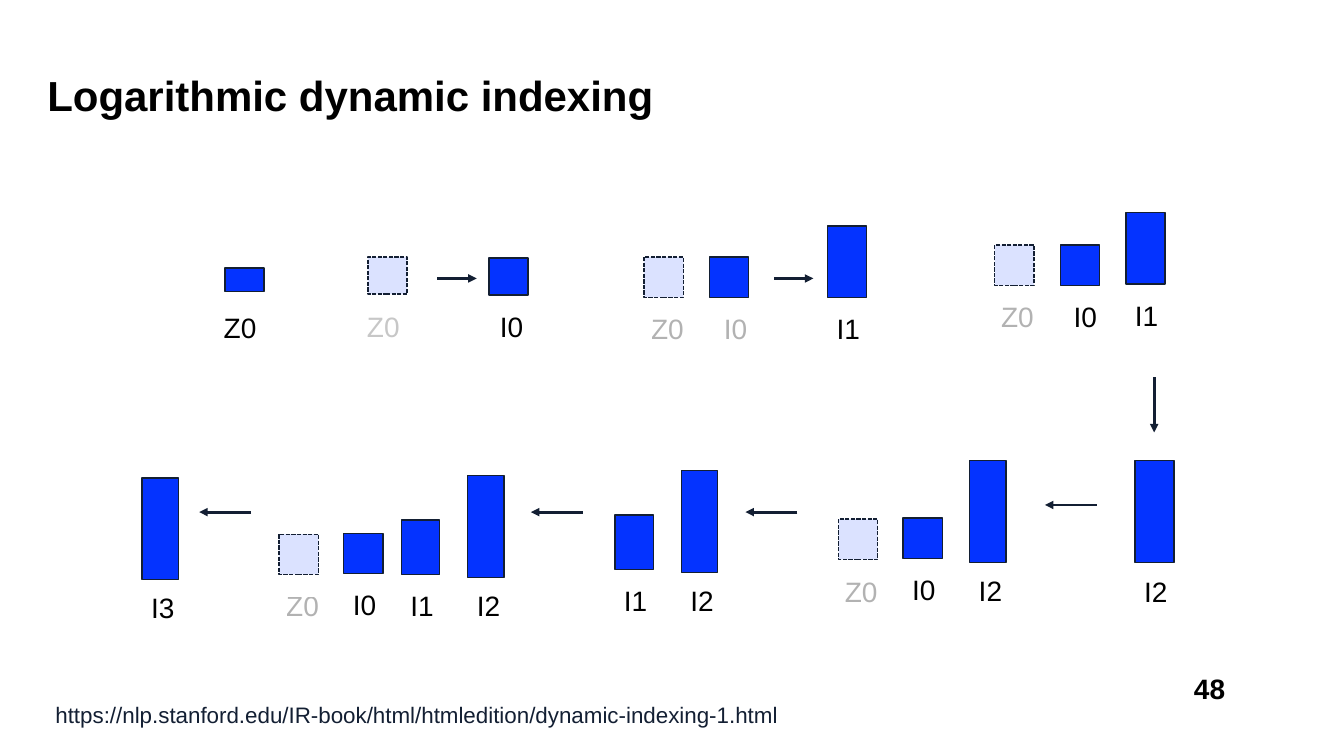
from lxml.etree import SubElement
from pptx import Presentation
from pptx.dml.color import RGBColor
from pptx.enum.dml import MSO_LINE
from pptx.enum.shapes import MSO_CONNECTOR, MSO_SHAPE
from pptx.enum.text import MSO_ANCHOR, PP_ALIGN
from pptx.oxml.ns import qn
from pptx.util import Pt

HUE = {"text": "000000", "bar": "0433FF", "line": "131F33"}
FLAT, LOW, BOX = (28, 16.6), (28, 26.6), (28, 28.8)
MID, HIGH = (27.4, 38.9), (28, 51.1)
TALL, WIDE = (26, 72.7), (28, 72.7)

# Each index: name, left, top, size, label shift, label top, bar and label opacity
STAGES = [
    [("Z0", 160.6, 191.5, FLAT, -4.4, 218.2, 100, 100)],
    [("Z0", 262.8, 183.6, LOW, -4.3, 217.4, 14, 22),
     ("I0", 349.2, 184.3, LOW, 4.3, 217.4, 100, 100)],
    [("Z0", 460.1, 183.6, BOX, 1.4, 218.9, 14, 30),
     ("I0", 506.9, 183.6, BOX, 6.5, 218.9, 100, 30),
     ("I1", 591.1, 161.3, HIGH, 2.9, 218.9, 100, 100)],
    [("Z0", 710.6, 175, BOX, 0.8, 210.2, 14, 30),
     ("I0", 757.4, 175, BOX, 5.8, 210.2, 100, 100),
     ("I1", 804.2, 151.9, HIGH, 2.9, 209.5, 100, 100)],
    [("I2", 810.7, 329, WIDE, 2.9, 406.8, 100, 100)],
    [("Z0", 599, 370.8, BOX, 0.8, 406.8, 14, 30),
     ("I0", 645.1, 370.1, BOX, 2.9, 405.4, 100, 100),
     ("I2", 692.6, 329, TALL, 2.9, 406.1, 100, 100)],
    [("I1", 439.2, 367.9, MID, 2.9, 413.3, 100, 100),
     ("I2", 486.7, 336.2, TALL, 2.9, 413.3, 100, 100)],
    [("Z0", 199.4, 381.6, BOX, 1.4, 416.9, 14, 30),
     ("I0", 245.5, 380.9, BOX, 2.9, 416.2, 100, 100),
     ("I1", 286.6, 371.5, MID, 2.9, 416.9, 100, 100),
     ("I2", 334.1, 339.8, TALL, 2.9, 416.9, 100, 100)],
    [("I3", 101.5, 341.3, TALL, 2.9, 418.3, 100, 100)],
]

# Start x, start y, run, drop
ARROWS = [
    (312.5, 198.9, 28, 0), (553, 198.9, 28, 0), (824.4, 269.3, 0, 39.6),
    (783.4, 360.7, -37, 0), (569.5, 365.8, -37, 0),
    (416.2, 365.8, -37, 0), (179.3, 365.8, -37, 0),
]


def paint(fill, hue, alpha=100):
    """Give a fill a solid colour with an opacity in percent."""
    fill.solid()
    fill.fore_color.rgb = RGBColor.from_string(HUE[hue])
    if alpha < 100:
        color = fill._xPr.find(qn("a:solidFill"))[0]
        SubElement(color, qn("a:alpha"), val=str(alpha * 1000))


def write(frame, text, size, hue="text", bold=False, alpha=100, inset=3.6):
    frame.margin_left = frame.margin_right = Pt(inset)
    frame.margin_top = frame.margin_bottom = Pt(inset)
    run = frame.paragraphs[0].add_run()
    run.text = text
    font = run.font
    font.name, font.size, font.bold = "Arial", Pt(size), bold
    paint(font.fill, hue, alpha)
    return frame.paragraphs[0]


def add_box(slide, left, top, width, height, wrap=False):
    box = slide.shapes.add_textbox(Pt(left), Pt(top), Pt(width), Pt(height))
    box.text_frame.word_wrap = wrap
    return box.text_frame


def add_title(slide, text):
    title = slide.shapes.title
    title.left, title.top = Pt(30.2), Pt(41.8)
    title.width, title.height = Pt(830.9), Pt(51.8)
    title.text_frame.vertical_anchor = MSO_ANCHOR.MIDDLE
    write(title.text_frame, text, 30, bold=True).alignment = PP_ALIGN.LEFT


def add_index(slide, name, left, top, size, shift, base, solid, ink):
    """Draw one index as a bar with its name below."""
    width, height = size
    bar = slide.shapes.add_shape(
        MSO_SHAPE.RECTANGLE, Pt(left), Pt(top), Pt(width), Pt(height))
    bar.shadow.inherit = False
    paint(bar.fill, "bar", solid)
    paint(bar.line.fill, "line")
    bar.line.width = Pt(1)
    if solid < 100:
        bar.line.dash_style = MSO_LINE.SQUARE_DOT
    frame = add_box(slide, left + shift, base, 36.7, 39.6, wrap=True)
    write(frame, name, 20, alpha=ink).space_before = Pt(5)


def add_arrow(slide, x, y, run, drop):
    arrow = slide.shapes.add_connector(
        MSO_CONNECTOR.STRAIGHT, Pt(x), Pt(y), Pt(x + run), Pt(y + drop))
    paint(arrow.line.fill, "line")
    arrow.line.width = Pt(2)
    SubElement(arrow.line._get_or_add_ln(), qn("a:tailEnd"), type="triangle")
    SubElement(arrow._element.spPr, qn("a:effectLst"))


def main():
    deck = Presentation()
    deck.slide_width, deck.slide_height = Pt(960), Pt(540)
    slide = deck.slides.add_slide(deck.slide_layouts[5])
    add_title(slide, "Logarithmic dynamic indexing")
    for stage in STAGES:
        for index in stage:
            add_index(slide, *index)
    for arrow in ARROWS:
        add_arrow(slide, *arrow)
    number = add_box(slide, 849.6, 476.6, 28.8, 28.1)
    write(number, "48", 20, bold=True, inset=2.9).alignment = PP_ALIGN.CENTER
    source = add_box(slide, 36, 497.5, 525.6, 24.5)
    write(source, "https://nlp.stanford.edu/IR-book/html/htmledition/"
          "dynamic-indexing-1.html", 16, "line")
    deck.save("out.pptx")


if __name__ == "__main__":
    main()
